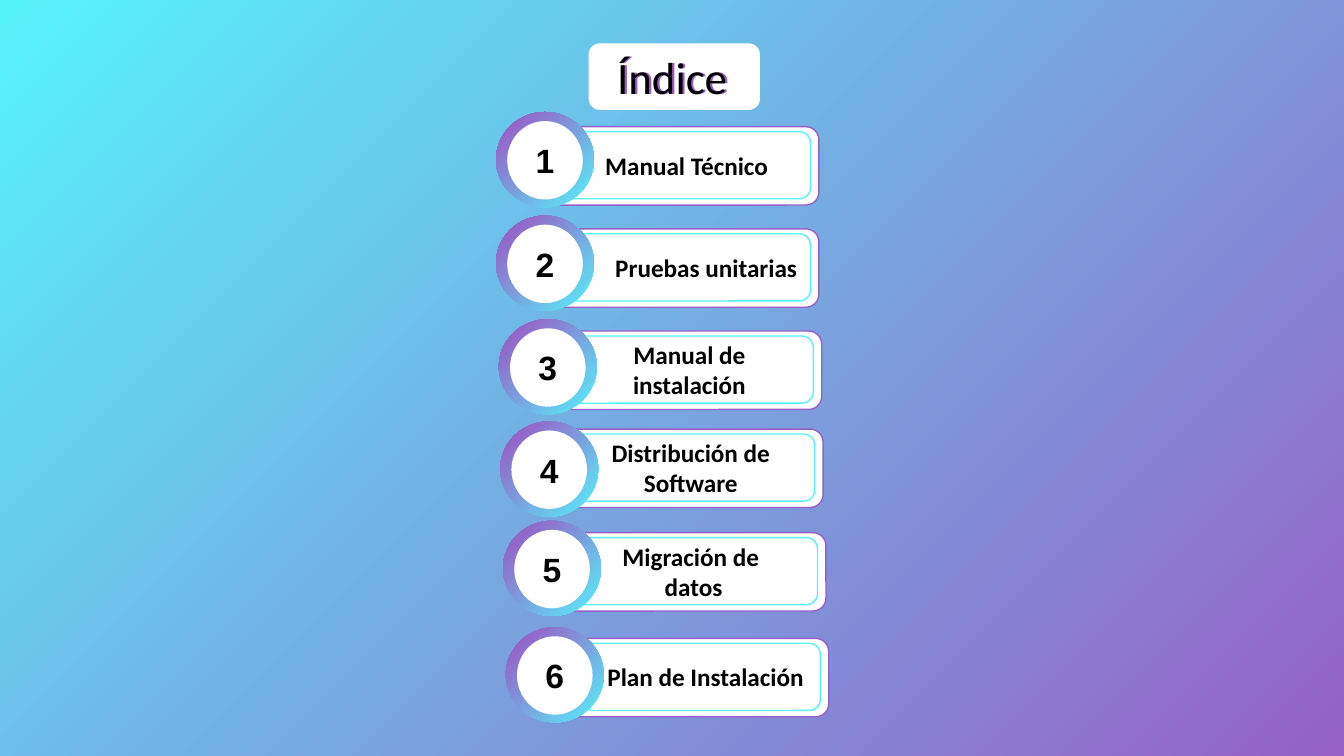
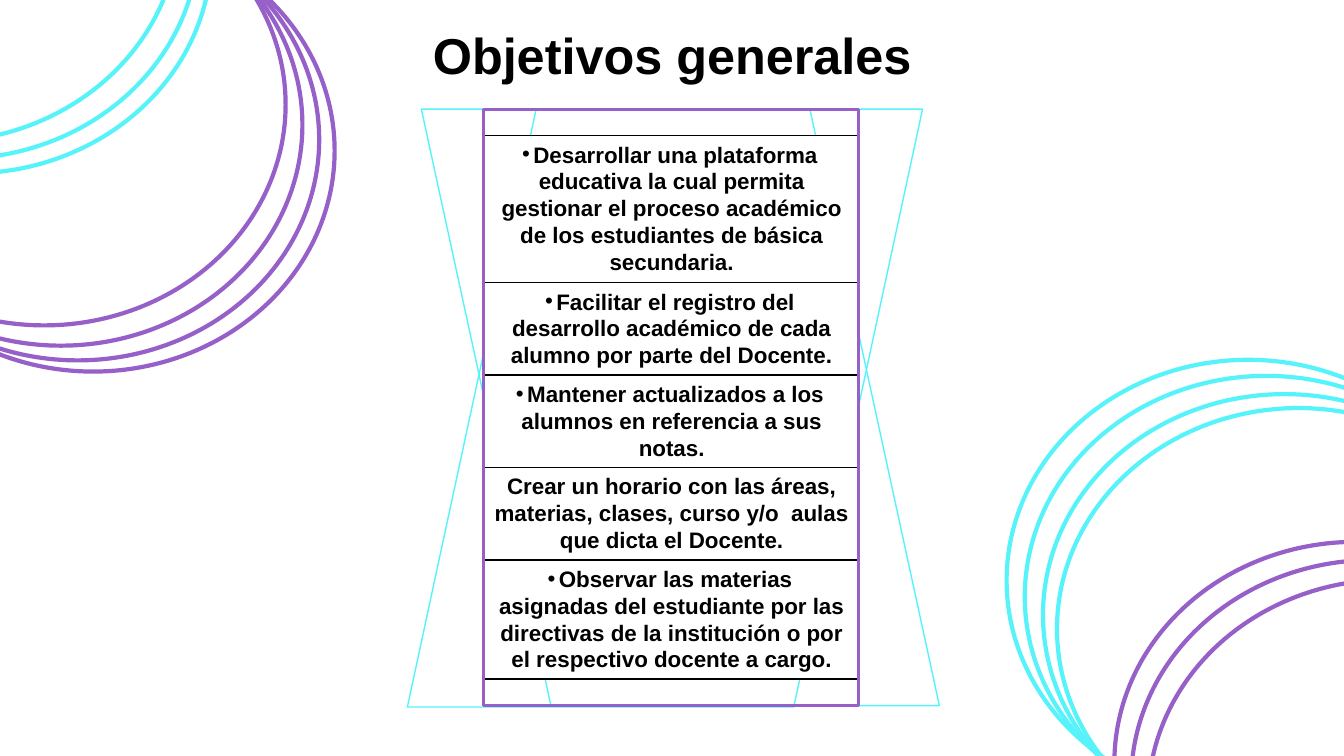
import pptx
import pptx.util
import pptx.dml.color
import pptx.enum.shapes
import pptx.enum.text
import pptx.oxml.ns
import lxml.etree

Pt = pptx.util.Pt
RGB = pptx.dml.color.RGBColor
KIND = pptx.enum.shapes.MSO_SHAPE
ALIGN = pptx.enum.text.PP_ALIGN
ANCHOR = pptx.enum.text.MSO_ANCHOR

CYAN = RGB(0x57, 0xF3, 0xFB)
PURPLE = RGB(0x96, 0x60, 0xC8)
BLACK = RGB(0, 0, 0)
WHITE = RGB(255, 255, 255)


class Deck:
    """Holds the style and the slide being built."""
    head = "Calibri"
    body = "Arial"

    def __init__(self):
        self.file = pptx.Presentation()
        self.file.slide_width = Pt(960)
        self.file.slide_height = Pt(540)
        self.slide = None

    def page(self):
        self.slide = self.file.slides.add_slide(self.file.slide_layouts[6])

    def blend(self, fill, angle, end=1):
        fill.gradient()
        fill.gradient_angle = angle
        first, last = fill.gradient_stops
        first.color.rgb, last.color.rgb = CYAN, PURPLE
        first.position, last.position = 0, end

    def shape(self, kind, left, top, width, height, fill=None, line=None, weight=1):
        item = self.slide.shapes.add_shape(
            kind, Pt(left), Pt(top), Pt(width), Pt(height))
        item.shadow.inherit = False
        if fill is None:
            item.fill.background()
        else:
            item.fill.solid()
            item.fill.fore_color.rgb = fill
        if line is None:
            item.line.fill.background()
        else:
            item.line.color.rgb = line
            item.line.width = Pt(weight)
        return item

    def label(self, item, text, size, face, bold=True, color=BLACK,
              align=ALIGN.CENTER, anchor=ANCHOR.MIDDLE, dot=False):
        frame = item.text_frame
        frame.word_wrap = True
        frame.vertical_anchor = anchor
        frame.text = text
        para = frame.paragraphs[0]
        para.alignment = align
        if dot:
            self.bullet(para)
        font = para.font
        font.size, font.name, font.bold = Pt(size), face, bold
        font.color.rgb = color

    def bullet(self, para):
        props = para._p.get_or_add_pPr()
        props.set("marL", "0")
        props.set("indent", str(-Pt(8)))
        tag = pptx.oxml.ns.qn
        tint = lxml.etree.SubElement(props, tag("a:buClr"))
        lxml.etree.SubElement(tint, tag("a:srgbClr"), val=str(BLACK))
        lxml.etree.SubElement(props, tag("a:buFont"), typeface=self.body)
        lxml.etree.SubElement(props, tag("a:buChar"), char="•")

    def title(self, text, left, top, width, height):
        box = self.slide.shapes.add_textbox(Pt(left), Pt(top), Pt(width), Pt(height))
        self.label(box, text, 36, self.body, anchor=ANCHOR.TOP)

    def bar(self, text, left, top, align, shift):
        self.shape(KIND.ROUNDED_RECTANGLE, left, top, 199, 56, WHITE, PURPLE)
        card = self.shape(KIND.ROUNDED_RECTANGLE, left + 16 + shift, top + 3.5,
                          177 - shift, 48, WHITE, CYAN)
        card.text_frame.margin_left = Pt(7.2 + shift)
        self.label(card, text, 18, self.head, align=align)

    def badge(self, text, left, top):
        ring = self.shape(KIND.FLOWCHART_CONNECTOR, left, top, 70, 68)
        self.blend(ring.fill, 135, 0.88)
        disc = self.shape(KIND.FLOWCHART_CONNECTOR, left + 8, top + 6.5, 54, 56, WHITE)
        self.label(disc, text, 24, self.body)

    def loops(self, color, spots):
        for left, top in spots:
            self.shape(KIND.FLOWCHART_CONNECTOR, left, top, 345, 315.4,
                       line=color, weight=3)


def index(deck):
    deck.page()
    deck.blend(deck.slide.background.fill, 315)

    # Heading with a purple echo behind it
    for left, fill, color in ((420.5, WHITE, PURPLE), (419, None, BLACK)):
        tab = deck.shape(KIND.ROUNDED_RECTANGLE, left, 31, 122.4, 47.5, fill)
        deck.label(tab, "Índice", 32, deck.head, False, color)

    # Numbered entries: text, left, bar top, badge top, alignment, shift
    mid = ALIGN.CENTER
    rows = (
        ("Manual Técnico", 386, 90.5, 80, mid, 0),
        ("Pruebas unitarias", 386, 163.5, 154, ALIGN.RIGHT, 0),
        ("Manual de instalación", 388, 236.5, 228, mid, 0),
        ("Distribución de Software", 389, 306.5, 301, mid, 0),
        ("Migración de \vdatos", 391, 380.5, 372, mid, 0),
        ("Plan de Instalación", 393, 456, 448, mid, 6.5),
    )
    for num, (text, left, top, high, align, shift) in enumerate(rows, 1):
        deck.bar(text, left, top, align, shift)
        deck.badge(str(num), left - 31.7, high)


def goals(deck):
    deck.page()

    # Crossed parallelograms
    deck.shape(KIND.PARALLELOGRAM, 291, 78, 368, 427, line=CYAN)
    twin = deck.shape(KIND.PARALLELOGRAM, 301, 78, 370, 426, line=CYAN)
    twin._element.spPr.get_or_add_xfrm().set("flipH", "1")

    deck.title("Objetivos generales", 301, 13.7, 358.5, 51)

    # Stacked goals: text, height, bullet
    cards = (
        ("Desarrollar una plataforma educativa la cual permita gestionar el "
         "proceso académico de los estudiantes de básica secundaria.", 105, True),
        ("Facilitar el registro del desarrollo académico de cada alumno por "
         "parte del Docente.", 66, True),
        ("Mantener actualizados a los alumnos en referencia a sus notas.", 66, True),
        ("Crear un horario con las áreas, materias, clases, curso y/o  aulas "
         "que dicta el Docente.", 66, False),
        ("Observar las materias asignadas del estudiante por las directivas de "
         "la institución o por el respectivo docente a cargo.", 85, True),
    )
    top = 97
    for text, height, dot in cards:
        card = deck.shape(KIND.RECTANGLE, 346, top, 267.5, height, WHITE, BLACK)
        deck.label(card, text, 16, deck.body, anchor=ANCHOR.TOP, dot=dot)
        top += height
    deck.shape(KIND.RECTANGLE, 345.5, 78.3, 268, 426, line=PURPLE, weight=2.25)

    # Corner loops
    deck.loops(PURPLE, ((-141, -83), (-129, -68.5), (-117, -58), (-106, -50)))
    deck.loops(CYAN, ((-217, -214), (-203, -202), (-194, -191.5)))
    deck.loops(PURPLE, ((796, 387), (808, 400), (820, 414)))
    deck.loops(CYAN, ((719, 257), (732, 268.5), (745, 281.5), (755, 291.5)))


def main():
    deck = Deck()
    index(deck)
    goals(deck)
    deck.file.save("out.pptx")


if __name__ == "__main__":
    main()
